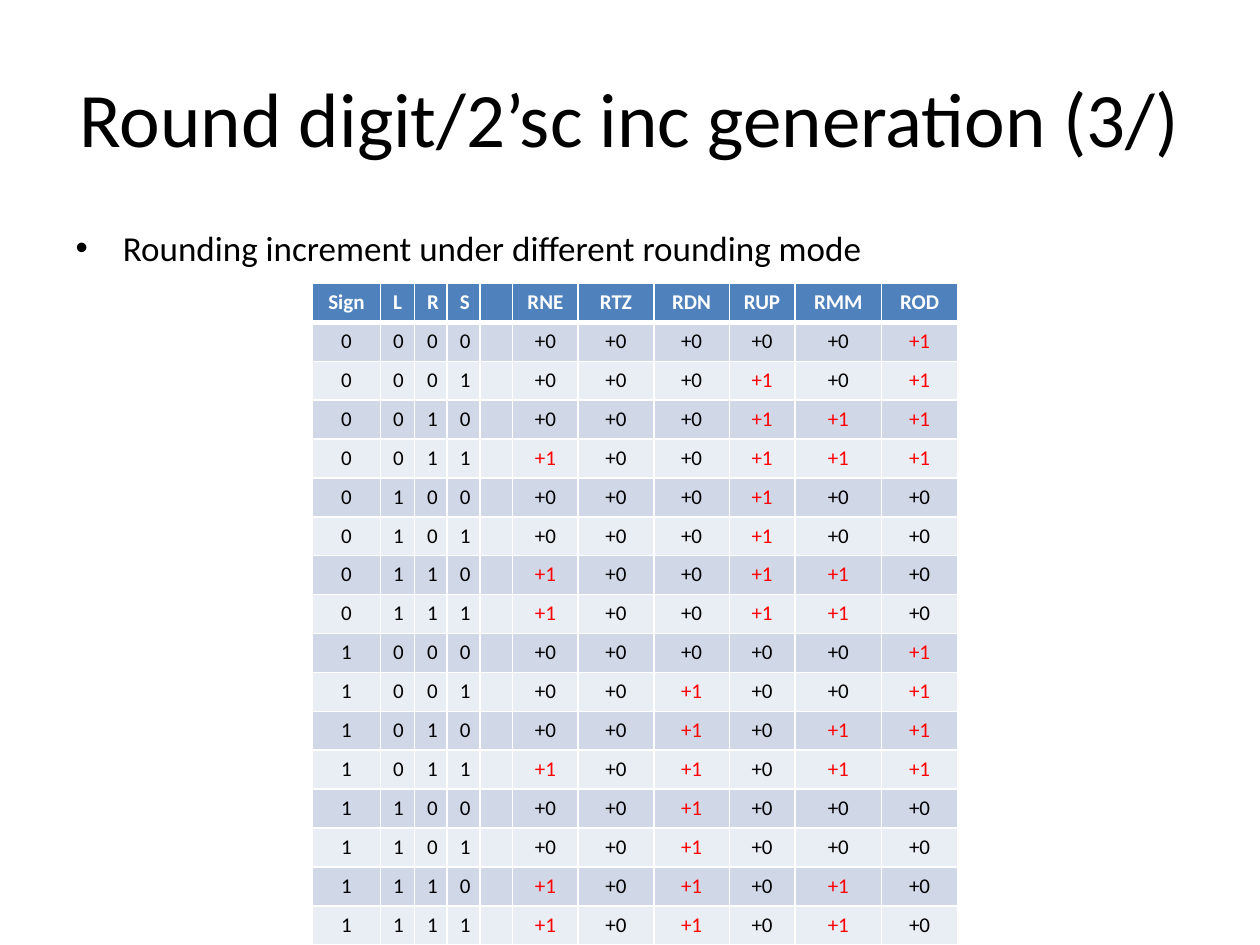
from itertools import product

from lxml import etree
from pptx import Presentation, util as u
from pptx.dml.color import RGBColor
from pptx.enum import text
from pptx.oxml import ns

HEADINGS = ["Sign", "L", "R", "S", "", "RNE", "RTZ", "RDN", "RUP", "RMM", "ROD"]
COLUMN_WIDTHS = [0.54, 0.27, 0.26, 0.26, 0.26, 0.52, 0.6, 0.6, 0.52, 0.69, 0.6]


def colour(value):
    return RGBColor.from_string(value)


def rounding_row(sign, l, r, s):
    """Input bits, a gap, then the increment of each rounding mode."""
    inexact = l or r or s
    increments = [
        r and (l or s),        # RNE
        0,                     # RTZ
        sign and inexact,      # RDN
        not sign and inexact,  # RUP
        r,                     # RMM
        not l,                 # ROD
    ]
    return [str(bit) for bit in (sign, l, r, s)] + [""] + [f"+{int(bool(i))}" for i in increments]


class Deck:
    FONT = "Calibri"
    BLACK, WHITE, RED = "000000", "FFFFFF", "FF0000"
    HEADER, BANDS = "4F81BD", ("E9EDF4", "D0D8E8")
    TABLE_SIZE = 12

    def __init__(self, width, height):
        self.presentation = Presentation()
        self.presentation.slide_width = u.Inches(width)
        self.presentation.slide_height = u.Inches(height)
        self.slide = None

    def add_slide(self):
        self.slide = self.presentation.slides.add_slide(self.presentation.slide_layouts[1])

    def style(self, paragraph, size, ink, bold=False):
        for run in paragraph.runs:
            run.font.name, run.font.size, run.font.bold = self.FONT, u.Pt(size), bold
            run.font.color.rgb = colour(ink)

    def place(self, holder, left, top, width, height):
        """Position a placeholder by shares of the slide's size."""
        across, down = self.presentation.slide_width, self.presentation.slide_height
        holder.left, holder.width = int(left * across), int(width * across)
        holder.top, holder.height = int(top * down), int(height * down)

    def title(self, words):
        heading = self.slide.shapes.title
        self.place(heading, 0.05, 0.04, 0.9, 1 / 6)
        heading.text_frame.text = words
        heading.text_frame.vertical_anchor = text.MSO_ANCHOR.MIDDLE
        paragraph = heading.text_frame.paragraphs[0]
        paragraph.alignment = text.PP_ALIGN.CENTER
        self.style(paragraph, 44, self.BLACK)

    def bullets(self, *points):
        body = self.slide.placeholders[1]
        self.place(body, 0.05, 7 / 30, 0.9, 0.66)
        body.text_frame.text = "\n".join(points)
        for paragraph in body.text_frame.paragraphs:
            self.style(paragraph, 20, self.BLACK)

    def table(self, rows, widths, left, top, height):
        """Add a centred, banded table whose first row is the header."""
        grid = self.slide.shapes.add_table(
            len(rows), len(widths), u.Inches(left), u.Inches(top),
            u.Inches(sum(widths)), u.Inches(height)).table
        for column, width in zip(grid.columns, widths):
            column.width = u.Inches(width)
        for number, values in enumerate(rows):
            for cell, value in zip(grid.rows[number].cells, values):
                self.cell(cell, value, number)

    def cell(self, cell, value, number):
        header = number == 0
        ink = self.WHITE if header else self.RED if value == "+1" else self.BLACK
        cell.text_frame.text = value
        paragraph = cell.text_frame.paragraphs[0]
        paragraph.alignment = text.PP_ALIGN.CENTER
        self.style(paragraph, self.TABLE_SIZE, ink, header)
        if not value:  # keeps the empty column from stretching its rows
            etree.SubElement(paragraph._p, ns.qn("a:endParaRPr"), sz=str(self.TABLE_SIZE * 100))
        self.borders(cell, {"L": 1, "R": 1, "T": 3 if number == 1 else 1, "B": 3 if header else 1})
        cell.fill.solid()
        cell.fill.fore_color.rgb = colour(self.HEADER if header else self.BANDS[number % 2])

    def borders(self, cell, weights):
        properties = cell._tc.get_or_add_tcPr()
        for side, points in weights.items():
            line = etree.SubElement(properties, ns.qn(f"a:ln{side}"), w=str(u.Pt(points)))
            fill = etree.SubElement(line, ns.qn("a:solidFill"))
            etree.SubElement(fill, ns.qn("a:srgbClr"), val=self.WHITE)


def main():
    deck = Deck(10, 7.5)
    deck.add_slide()
    deck.title("Round digit/2’sc inc generation (3/)")
    deck.bullets("Rounding increment under different rounding mode")
    truth_table = [HEADINGS] + [rounding_row(*bits) for bits in product((0, 1), repeat=4)]
    deck.table(truth_table, COLUMN_WIDTHS, left=2.48, top=2.25, height=5.25)
    deck.presentation.save("out.pptx")


if __name__ == "__main__":
    main()
